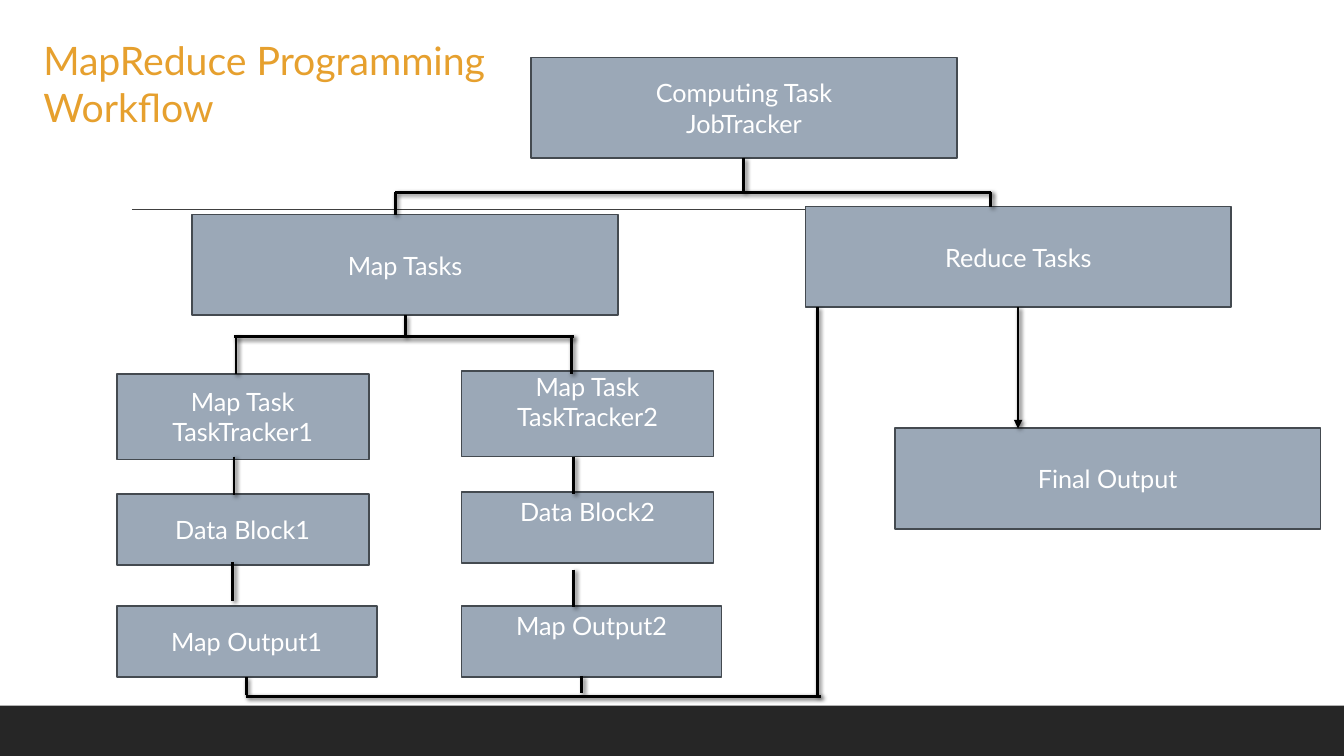
from lxml.etree import SubElement
from pptx import Presentation
from pptx.dml.color import RGBColor
from pptx.enum.shapes import MSO_CONNECTOR, MSO_SHAPE
from pptx.enum.text import MSO_ANCHOR, MSO_AUTO_SIZE, PP_ALIGN
from pptx.oxml.ns import qn
from pptx.util import Inches, Pt

WIDTH, HEIGHT = Inches(13.33), Inches(7.5)
COLUMNS, ROWS = 32, 18
WIDE, WIDE_HEIGHT = 10.13, 2.4
NARROW, OUTPUT_WIDTH = 6, 6.19
TRACKER_HEIGHT, BLOCK_HEIGHT = 2.04, 1.7
LEFT_BRANCH, RIGHT_BRANCH = 2.78, 10.99

WIDE_BOXES = [
    ("Computing Task\nJobTracker", 12.65, 1.37),
    ("Map Tasks", 4.58, 5.11),
    ("Reduce Tasks", 19.18, 4.92),
    ("Final Output", 21.31, 10.2),
]

BRANCHES = [
    (1, LEFT_BRANCH, (8.9, 11.76, 14.42), MSO_ANCHOR.MIDDLE, (0.12, 0.12, 0.12)),
    (2, RIGHT_BRANCH, (8.83, 11.71, 14.42), MSO_ANCHOR.TOP, (0, 0.12, 0.12)),
]

LINKS = [
    (9.65, 7.51, 9.65, 8.02),
    (5.57, 8.02, 13.66, 8.02),
    (5.62, 7.99, 5.62, 8.9),
    (13.61, 7.99, 13.61, 8.9),
    (5.57, 10.87, 5.57, 11.78),
    (5.54, 13.39, 5.54, 14.3),
    (13.66, 10.87, 13.66, 11.76),
    (13.66, 13.56, 13.66, 14.45),
    (5.86, 16.58, 19.54, 16.58),
    (5.86, 16.13, 5.86, 16.54),
    (13.85, 16.1, 13.85, 16.51),
    (19.46, 16.58, 19.46, 7.32),
    (9.41, 4.58, 23.59, 4.58),
    (9.41, 4.58, 9.41, 5.11),
    (23.59, 4.58, 23.59, 4.92),
    (17.71, 3.77, 17.71, 4.58),
]


def col(n):
    return int(WIDTH * n / COLUMNS)


def row(n):
    return int(HEIGHT * n / ROWS)


def paint(color_format, value):
    color_format.rgb = RGBColor.from_string(value)


def write(sp, text, size=18, color="FFFFFF", align=PP_ALIGN.CENTER,
          anchor=MSO_ANCHOR.MIDDLE, top=0.12):
    tf = sp.text_frame
    tf.text = text
    tf.word_wrap = True
    tf.auto_size = MSO_AUTO_SIZE.NONE
    tf.vertical_anchor = anchor
    tf.margin_left = tf.margin_right = Inches(0.1)
    tf.margin_top, tf.margin_bottom = row(top), row(0.12)
    for p in tf.paragraphs:
        p.alignment = align
        for r in p.runs:
            r.font.name = "Lato"
            r.font.size = Pt(size)
            paint(r.font.color, color)


def add_rect(s, x, y, w, h, fill, border=None):
    sp = s.shapes.add_shape(MSO_SHAPE.RECTANGLE, col(x), row(y), col(w), row(h))
    sp.shadow.inherit = False
    sp.fill.solid()
    paint(sp.fill.fore_color, fill)
    if border:
        paint(sp.line.color, border)
        sp.line.width = Pt(1.25)
    else:
        sp.line.fill.background()
    return sp


def add_box(s, text, x, y, w, h, **text_format):
    write(add_rect(s, x, y, w, h, "9BA8B7", "444A50"), text, **text_format)


def add_line(s, x1, y1, x2, y2, color="000000", width=2, shadow=True, arrow=False):
    line = s.shapes.add_connector(MSO_CONNECTOR.STRAIGHT, col(x1), row(y1), col(x2), row(y2))
    paint(line.line.color, color)
    line.line.width = Pt(width)
    if arrow:
        SubElement(line.line._get_or_add_ln(), qn("a:tailEnd"), type="triangle")
    effects = SubElement(line._element.spPr, qn("a:effectLst"))
    if shadow:
        outer = SubElement(effects, qn("a:outerShdw"), blurRad=str(Pt(3)),
                           dist=str(Pt(2)), dir="2700000", rotWithShape="0")
        black = SubElement(outer, qn("a:srgbClr"), val="000000")
        SubElement(black, qn("a:alpha"), val="60000")


def add_branch(s, number, x, tops, anchor, insets):
    steps = [
        (f"Map Task\nTaskTracker{number}", NARROW, TRACKER_HEIGHT),
        (f"Data Block{number}", NARROW, BLOCK_HEIGHT),
        (f"Map Output{number}", OUTPUT_WIDTH, BLOCK_HEIGHT),
    ]
    for (text, w, h), y, inset in zip(steps, tops, insets):
        add_box(s, text, x, y, w, h, anchor=anchor, top=inset)


def add_title(s, text):
    title = s.shapes.title
    title.left, title.top, title.width, title.height = col(0.79), row(0.74), col(12.24), row(2.5)
    write(title, text, size=28, color="E6A02E", align=PP_ALIGN.LEFT, anchor=MSO_ANCHOR.TOP)


def main():
    prs = Presentation()
    prs.slide_width, prs.slide_height = WIDTH, HEIGHT
    s = prs.slides.add_slide(prs.slide_layouts[5])
    add_rect(s, 0, 16.8, COLUMNS, 1.2, "262626")
    add_line(s, 3.14, 4.99, 29.3, 4.99, color="404040", width=1, shadow=False)
    for text, x, y in WIDE_BOXES:
        add_box(s, text, x, y, WIDE, WIDE_HEIGHT)
    for branch in BRANCHES:
        add_branch(s, *branch)
    for link in LINKS:
        add_line(s, *link)
    add_line(s, 24.24, 7.32, 24.24, 10.2, arrow=True)
    add_title(s, "MapReduce Programming Workflow")
    prs.save("out.pptx")


if __name__ == "__main__":
    main()
